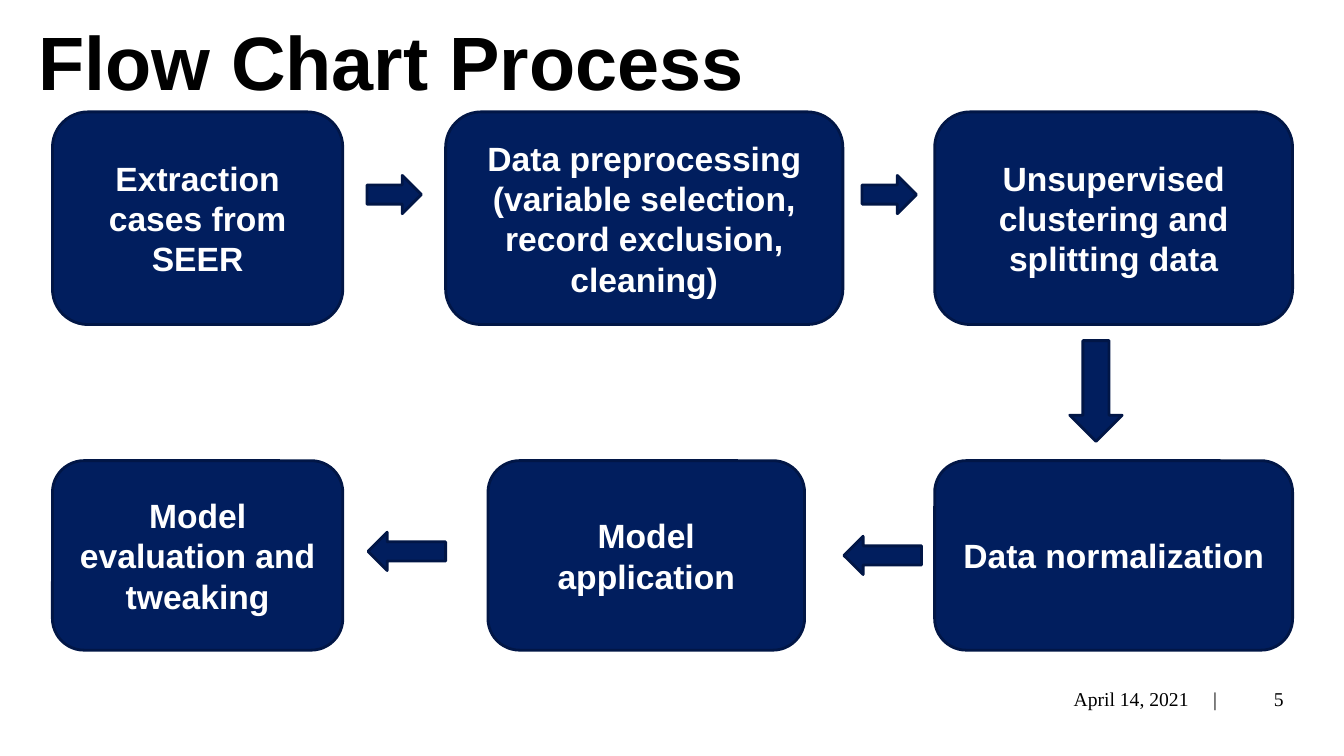
from pptx import Presentation
from pptx import util as u
from pptx.dml.color import RGBColor
from pptx.enum import shapes, text

NAVY = RGBColor(0x01, 0x1E, 0x5E)
EDGE = RGBColor(0x01, 0x16, 0x46)
WHITE = RGBColor(0xFF, 0xFF, 0xFF)
BLACK = RGBColor(0, 0, 0)

# Content: lengths are px, 100 to the inch
TITLE = "Flow Chart Process"
ROWS = [  # top, height, steps as (left, width, words)
    (111, 211, [
        (52, 288, "Extraction cases from SEER"),
        (442, 394, "Data preprocessing (variable selection, record exclusion, cleaning)"),
        (927, 355, "Unsupervised clustering and splitting data"),
    ]),
    (457, 188, [
        (52, 288, "Model evaluation and tweaking"),
        (484, 314, "Model application"),
        (927, 355, "Data normalization"),
    ]),
]
ARROWS = [  # left, top, width, height, turn
    (364, 174, 54, 38, 0),
    (855, 174, 54, 38, 0),
    (1037, 362, 100, 52, 90),
    (837, 532, 77, 38, 180),
    (365, 528, 77, 38, 180),
]
FOOT = [  # right edge, width, words
    (1189, 274, "April 14, 2021"),
    (1217, 28, "|"),
    (1283, 66, "5"),
]
FOOT_TOP, FOOT_HIGH = 673, 40

HEAD_FONT = dict(name="Arial", size=u.Pt(54), bold=True)
STEP_FONT = dict(name="Arial", size=u.Pt(24), bold=True)
FOOT_FONT = dict(name="Times New Roman", size=u.Pt(14), bold=False)
MID = text.MSO_ANCHOR.MIDDLE
TOP = text.MSO_ANCHOR.TOP
ALIGN = text.PP_ALIGN


def px(*vals):
    return [u.Emu(v * 9144) for v in vals]


def write(shape, words, font, color, align, anchor, lead=None):
    frame = shape.text_frame
    frame.word_wrap = True
    frame.auto_size = text.MSO_AUTO_SIZE.NONE
    frame.vertical_anchor = anchor
    para = frame.paragraphs[0]
    para.text = words
    para.alignment = align
    if lead:
        para.line_spacing = u.Pt(lead)
    for key, val in font.items():
        setattr(para.font, key, val)
    para.font.color.rgb = color


def block(kind, *box):
    shape = slide.shapes.add_shape(kind, *px(*box))
    shape.shadow.inherit = False
    shape.fill.solid()
    shape.fill.fore_color.rgb = NAVY
    shape.line.color.rgb = EDGE
    shape.line.width = u.Pt(2)
    return shape


deck = Presentation()
deck.slide_width, deck.slide_height = px(1333, 750)
slide = deck.slides.add_slide(deck.slide_layouts[5])

# Title
head = slide.shapes.title
head.left, head.top, head.width, head.height = px(32, 28, 1267, 77)
write(head, TITLE, HEAD_FONT, BLACK, ALIGN.LEFT, TOP, 51)
for side in ("left", "top", "right", "bottom"):
    setattr(head.text_frame, "margin_" + side, px(6)[0])

# Steps
for top, high, steps in ROWS:
    for left, wide, words in steps:
        step = block(shapes.MSO_SHAPE.FLOWCHART_ALTERNATE_PROCESS,
                     left, top, wide, high)
        write(step, words, STEP_FONT, WHITE, ALIGN.CENTER, MID, 28.8)

# Arrows between steps
for *box, turn in ARROWS:
    block(shapes.MSO_SHAPE.RIGHT_ARROW, *box).rotation = turn

# Footer
for right, wide, words in FOOT:
    note = slide.shapes.add_textbox(*px(right - wide, FOOT_TOP, wide, FOOT_HIGH))
    write(note, words, FOOT_FONT, BLACK, ALIGN.RIGHT, MID)

deck.save("out.pptx")
